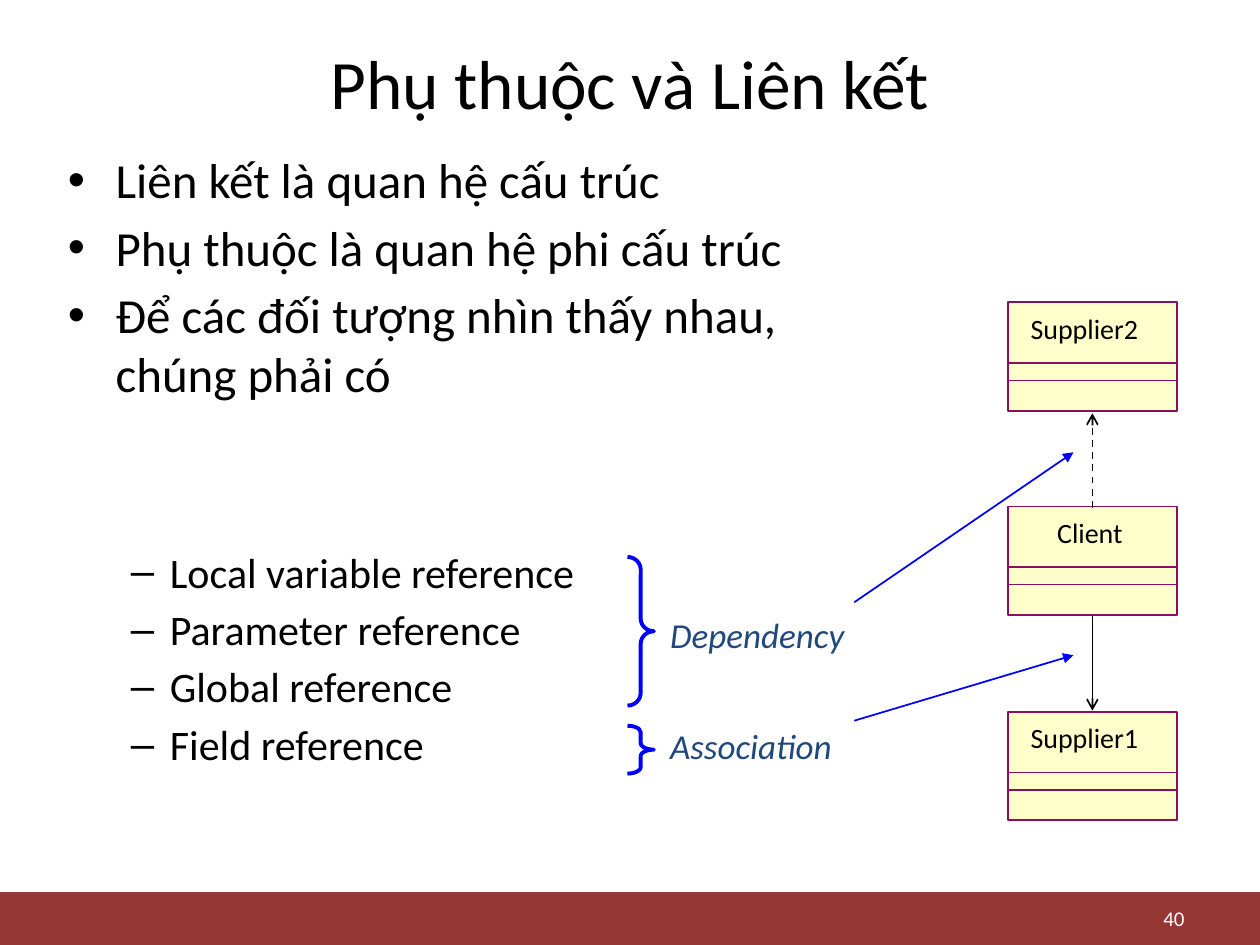
from dataclasses import dataclass
from typing import Optional

from lxml import etree
from pptx import Presentation
from pptx.dml.color import RGBColor
from pptx.enum.dml import MSO_LINE_DASH_STYLE as Dash
from pptx.enum.shapes import MSO_CONNECTOR, MSO_SHAPE as Shape
from pptx.enum.text import MSO_ANCHOR as Anchor, PP_ALIGN as Align
from pptx.oxml.ns import qn
from pptx.util import Inches, Pt

COLORS = {
    "text": "000000",
    "footer": "953735",
    "page": "FFFFFF",
    "label": "1F497D",
    "callout": "0000FF",
    "class_fill": "FFFFCC",
    "class_line": "8A0E5E",
}
FONT = "Calibri"


@dataclass(frozen=True)
class Box:
    left: float
    top: float
    width: float
    height: float

    def emu(self) -> tuple:
        return tuple(Inches(v) for v in (self.left, self.top, self.width, self.height))


@dataclass(frozen=True)
class Bullet:
    text: str
    level: int = 0
    before: float = 0


@dataclass(frozen=True)
class Level:
    mark: str
    indent: float
    hanging: float
    size: float


@dataclass(frozen=True)
class UmlClass:
    name: str
    top: float
    name_left: float
    name_width: float


@dataclass(frozen=True)
class Arrow:
    start: tuple
    end: tuple
    color: str
    head: str
    dash: Optional[Dash] = None


@dataclass(frozen=True)
class Reference:
    """A brace around some references, with the relation they stand for."""
    label: str
    label_box: Box
    brace: Box
    curve: float


LEVELS = [Level("•", 0.38, 0.38, 28), Level("–", 0.81, 0.31, 24)]
BULLETS = [
    Bullet("Liên kết là quan hệ cấu trúc"),
    Bullet("Phụ thuộc là quan hệ phi cấu trúc", before=5),
    Bullet("Để các đối tượng nhìn thấy nhau, chúng phải có", before=5),
    Bullet("Local variable reference", 1, 82),
    Bullet("Parameter reference", 1, 4),
    Bullet("Global reference", 1, 4),
    Bullet("Field reference", 1, 4),
]
REFERENCES = [
    Reference("Dependency", Box(5.22, 4.82, 1.89, 0.43), Box(4.98, 4.42, 0.21, 1.18), 0.476),
    Reference("Association", Box(5.22, 5.7, 2.04, 0.43), Box(4.98, 5.76, 0.21, 0.38), 0.245),
]
CLASS_LEFT, CLASS_WIDTH, CLASS_HEIGHT = 8, 1.34, 0.86
CLASS_DIVIDERS = (0.48, 0.62)
CLASSES = [
    UmlClass("Supplier2", 2.4, 8.18, 0.86),
    UmlClass("Client", 4.02, 8.39, 0.52),
    UmlClass("Supplier1", 5.65, 8.18, 0.86),
]
ARROWS = [
    Arrow((6.78, 4.78), (8.52, 3.59), "callout", "triangle"),
    Arrow((6.78, 5.72), (8.52, 5.2), "callout", "triangle"),
    Arrow((8.67, 4.03), (8.67, 3.28), "text", "arrow", Dash.DASH),
    Arrow((8.67, 4.89), (8.67, 5.64), "text", "arrow"),
]


def rgb(name: str) -> RGBColor:
    return RGBColor.from_string(COLORS[name])


def style(paragraph, size: float, color: str = "text", italic: bool = False) -> None:
    for run in paragraph.runs:
        run.font.name = FONT
        run.font.size = Pt(size)
        run.font.italic = italic
        run.font.color.rgb = rgb(color)


def add_text(shapes, box: Box, text: str, size: float, color: str = "text",
             align: Align = Align.LEFT, anchor: Anchor = Anchor.TOP,
             italic: bool = False) -> None:
    frame = shapes.add_textbox(*box.emu()).text_frame
    frame.word_wrap = True
    frame.vertical_anchor = anchor
    frame.text = text
    frame.paragraphs[0].alignment = align
    style(frame.paragraphs[0], size, color, italic)


def add_shape(shapes, preset: Shape, box: Box, fill: Optional[str] = None,
              line: Optional[str] = None, weight: float = 1):
    shape = shapes.add_shape(preset, *box.emu())
    shape.shadow.inherit = False
    if fill:
        shape.fill.solid()
        shape.fill.fore_color.rgb = rgb(fill)
    else:
        shape.fill.background()
    if line:
        shape.line.color.rgb = rgb(line)
        shape.line.width = Pt(weight)
    else:
        shape.line.fill.background()
    return shape


def add_line(shapes, start: tuple, end: tuple, color: str):
    ends = [Inches(v) for v in (*start, *end)]
    connector = shapes.add_connector(MSO_CONNECTOR.STRAIGHT, *ends)
    connector.line.color.rgb = rgb(color)
    connector.line.width = Pt(1)
    etree.SubElement(connector._element.spPr, qn("a:effectLst"))
    return connector


def add_arrow(shapes, arrow: Arrow) -> None:
    connector = add_line(shapes, arrow.start, arrow.end, arrow.color)
    if arrow.dash:
        connector.line.dash_style = arrow.dash
    etree.SubElement(connector.line._get_or_add_ln(), qn("a:tailEnd"), type=arrow.head)


def add_bullets(shapes, box: Box) -> None:
    frame = shapes.add_textbox(*box.emu()).text_frame
    frame.word_wrap = True
    for index, bullet in enumerate(BULLETS):
        level = LEVELS[bullet.level]
        paragraph = frame.add_paragraph() if index else frame.paragraphs[0]
        paragraph.text = bullet.text
        paragraph.level = bullet.level
        paragraph.space_before = Pt(bullet.before)
        properties = paragraph._p.get_or_add_pPr()
        properties.set("marL", str(Inches(level.indent)))
        properties.set("indent", str(-Inches(level.hanging)))
        etree.SubElement(properties, qn("a:buFont"), typeface="Arial")
        etree.SubElement(properties, qn("a:buChar"), char=level.mark)
        style(paragraph, level.size)


def add_reference(shapes, reference: Reference) -> None:
    brace = add_shape(shapes, Shape.RIGHT_BRACE, reference.brace, line="callout", weight=2.25)
    brace.adjustments[0] = reference.curve
    add_text(shapes, reference.label_box, reference.label, 20, "label", italic=True)


def add_class(shapes, uml: UmlClass) -> None:
    outline = shapes.add_group_shape().shapes
    add_shape(outline, Shape.RECTANGLE, Box(CLASS_LEFT, uml.top, CLASS_WIDTH, CLASS_HEIGHT),
              "class_fill", "class_line")
    for offset in CLASS_DIVIDERS:
        y = uml.top + offset
        add_line(outline, (CLASS_LEFT, y), (CLASS_LEFT + CLASS_WIDTH, y), "class_line")
    name = add_shape(shapes, Shape.RECTANGLE,
                     Box(uml.name_left, uml.top + 0.07, uml.name_width, 0.27), "class_fill")
    frame = name.text_frame
    frame.margin_left = frame.margin_right = frame.margin_top = frame.margin_bottom = 0
    frame.word_wrap = False
    frame.vertical_anchor = Anchor.TOP
    frame.text = uml.name
    frame.paragraphs[0].alignment = Align.LEFT
    style(frame.paragraphs[0], 16)


def main() -> None:
    deck = Presentation()
    deck.slide_width, deck.slide_height = Inches(10), Inches(7.5)
    shapes = deck.slides.add_slide(deck.slide_layouts[6]).shapes
    add_shape(shapes, Shape.RECTANGLE, Box(0, 7.08, 10, 0.42), "footer")
    add_text(shapes, Box(0.5, 0.3, 9, 0.7), "Phụ thuộc và Liên kết", 39.6,
             align=Align.CENTER, anchor=Anchor.MIDDLE)
    add_bullets(shapes, Box(0.44, 1.14, 6.74, 5.52))
    for reference in REFERENCES:
        add_reference(shapes, reference)
    for uml in CLASSES:
        add_class(shapes, uml)
    for arrow in ARROWS:
        add_arrow(shapes, arrow)
    add_text(shapes, Box(7.17, 7.15, 2.33, 0.27), "40", 12, "page", Align.RIGHT, Anchor.MIDDLE)
    deck.save("out.pptx")


if __name__ == "__main__":
    main()
